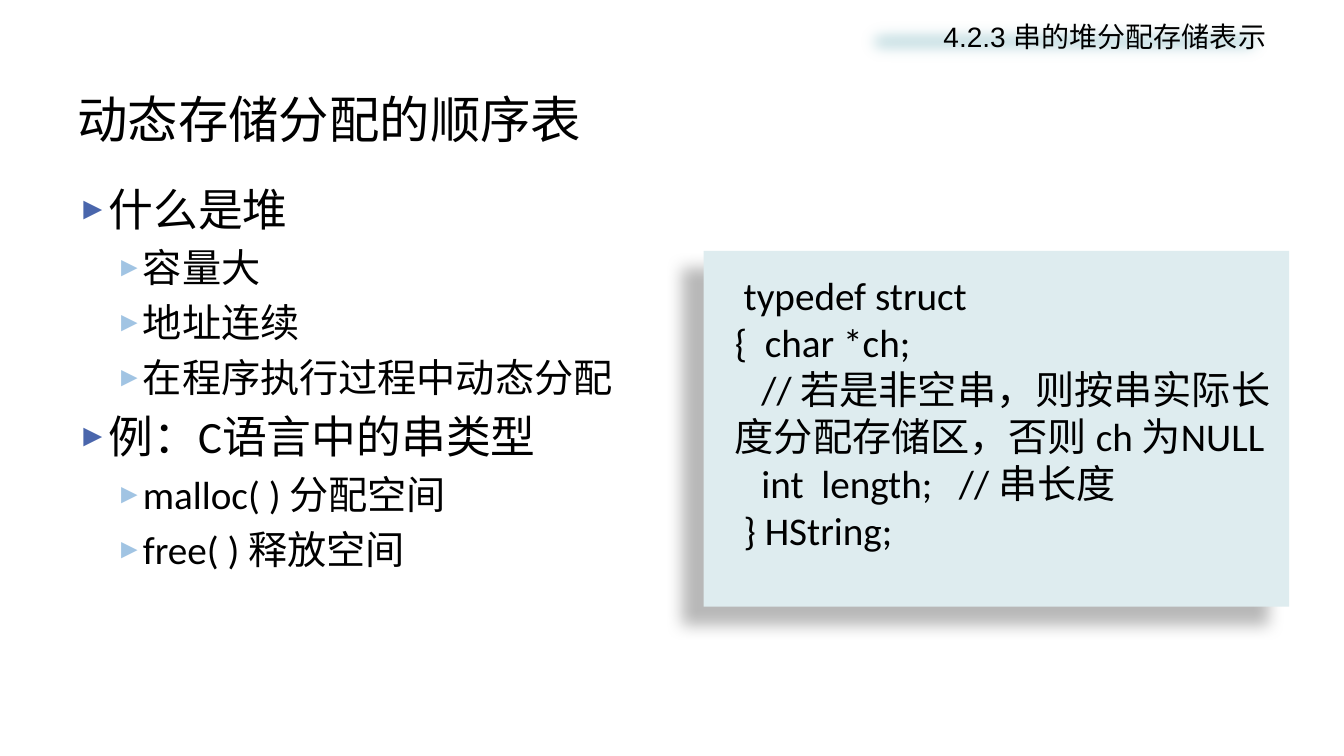
from lxml import etree
from pptx import Presentation
from pptx.dml.color import RGBColor
from pptx.enum.shapes import MSO_SHAPE
from pptx.enum.text import MSO_ANCHOR, PP_ALIGN
from pptx.oxml.ns import qn
from pptx.util import Cm, Pt

RECTANGLE = MSO_SHAPE.RECTANGLE
TOP, MIDDLE = MSO_ANCHOR.TOP, MSO_ANCHOR.MIDDLE
LEFT, RIGHT = PP_ALIGN.LEFT, PP_ALIGN.RIGHT

COLORS = {
    "text": "000000",
    "shadow": "000000",
    "header": "BDDADF",
    "code": "DEECEF",
    "topic": "4A66AC",
    "detail": "A1C4E3",
}

# Per outline level: size, left margin, hanging indent, bullet colour
LEVELS = [
    (32, Cm(0.71), Cm(-0.71), "topic"),
    (28, Cm(1.55), Cm(-0.58), "detail"),
]

OUTLINE = [
    (0, "什么是堆"),
    (1, "容量大"),
    (1, "地址连续"),
    (1, "在程序执行过程中动态分配"),
    (0, "例：C语言中的串类型"),
    (1, "malloc( ) 分配空间"),
    (1, "free( ) 释放空间"),
]

CODE = [
    " typedef struct",
    "{  char *ch;",
    "   // 若是非空串，则按串实际长度分配存储区，否则 ch 为NULL",
    "   int  length;   // 串长度",
    " } HString;",
]


class SlideBuilder:
    def __init__(self, slide, font="Calibri"):
        self.slide = slide
        self.font = font

    def style(self, para, size, font=None, align=LEFT):
        para.alignment = align
        para.font.size = Pt(size)
        para.font.name = font or self.font
        para.font.color.rgb = RGBColor.from_string(COLORS["text"])

    def prepare(self, box, anchor):
        frame = box.text_frame
        frame.word_wrap = True
        frame.vertical_anchor = anchor
        return frame

    def text_box(self, place, anchor=TOP):
        return self.prepare(self.slide.shapes.add_textbox(*place), anchor)

    def label(self, place, text, size, font):
        frame = self.text_box(place, MIDDLE)
        frame.text = text
        self.style(frame.paragraphs[0], size, font)

    def panel(self, place, color, lines, size, font=None, align=LEFT):
        box = self.slide.shapes.add_shape(RECTANGLE, *place)
        box.shadow.inherit = False
        box.fill.solid()
        box.fill.fore_color.rgb = RGBColor.from_string(COLORS[color])
        box.line.fill.background()
        frame = self.prepare(box, TOP)
        frame.text = "\n".join(lines)
        for para in frame.paragraphs:
            self.style(para, size, font, align)
        return box

    def effect(self, box, name, **settings):
        effects = box._element.spPr.find(qn("a:effectLst"))
        return etree.SubElement(effects, qn(name), settings)

    def bullet(self, para, margin, indent, color):
        props = para._p.get_or_add_pPr()
        props.set("marL", str(margin))
        props.set("indent", str(indent))
        bullet_color = etree.SubElement(props, qn("a:buClr"))
        etree.SubElement(bullet_color, qn("a:srgbClr"), val=COLORS[color])
        etree.SubElement(props, qn("a:buSzPct"), val="70000")
        etree.SubElement(props, qn("a:buFont"), typeface="Arial")
        etree.SubElement(props, qn("a:buChar"), char="►")

    def outline(self, place, items):
        frame = self.text_box(place)
        frame.text = "\n".join(text for _, text in items)
        for index, (para, (level, _)) in enumerate(zip(frame.paragraphs, items)):
            size, margin, indent, color = LEVELS[level]
            para.level = level
            self.bullet(para, margin, indent, color)
            if index:
                para.space_before = Pt(size * 0.2)
            self.style(para, size)


def main():
    deck = Presentation()
    deck.slide_width, deck.slide_height = Cm(33.87), Cm(19.05)
    page = SlideBuilder(deck.slides.add_slide(deck.slide_layouts[6]))

    # Title and outline
    page.label((Cm(1.7), Cm(2.03), Cm(30.48), Cm(1.9)),
               "动态存储分配的顺序表", 36, "Noto Sans CJK SC")
    page.outline((Cm(1.7), Cm(4.45), Cm(14.76), Cm(12.57)), OUTLINE)

    # Section header with soft edges
    header = page.panel((Cm(21.49), Cm(0.36), Cm(10.67), Cm(1.37)), "header",
                        ["4.2.3 串的堆分配存储表示"], 20, "Arial", RIGHT)
    page.effect(header, "a:softEdge", rad=str(Pt(12.5)))

    # Code panel with shadow
    code = page.panel((Cm(17.73), Cm(6.32), Cm(14.76), Cm(8.97)), "code", CODE, 28)
    code.text_frame.margin_left = Cm(0.79)
    code.text_frame.margin_top = Cm(0.51)
    shadow = page.effect(code, "a:outerShdw", blurRad=str(Pt(11.8)),
                         dist=str(Pt(19.7)), dir=str(141 * 60000), rotWithShape="0")
    shade = etree.SubElement(shadow, qn("a:srgbClr"), val=COLORS["shadow"])
    etree.SubElement(shade, qn("a:alpha"), val="28000")

    deck.save("out.pptx")


if __name__ == "__main__":
    main()
